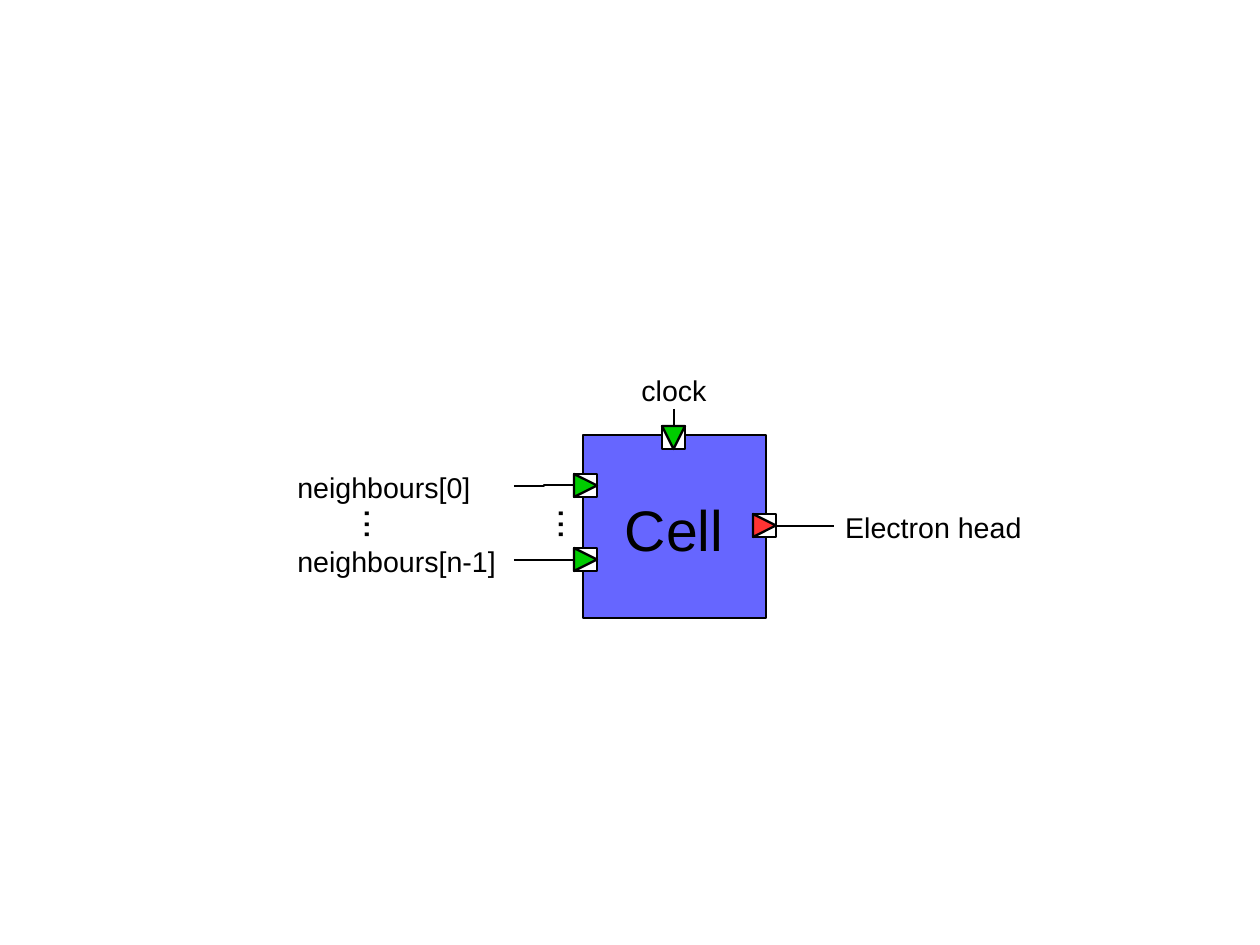
from lxml import etree
from pptx import Presentation
from pptx.dml.color import RGBColor
from pptx.enum.shapes import MSO_CONNECTOR, MSO_SHAPE
from pptx.enum.text import PP_ALIGN
from pptx.oxml.ns import qn
from pptx.util import Pt

PX = 8000
BLACK = RGBColor(0x00, 0x00, 0x00)
WHITE = RGBColor(0xFF, 0xFF, 0xFF)
CELL_BLUE = RGBColor(0x66, 0x66, 0xFF)
INPUT_GREEN = RGBColor(0x00, 0xCC, 0x00)
OUTPUT_RED = RGBColor(0xFF, 0x33, 0x33)
RECTANGLE = MSO_SHAPE.RECTANGLE
TRIANGLE = MSO_SHAPE.ISOSCELES_TRIANGLE
ELBOW = MSO_CONNECTOR.ELBOW
LEFT = PP_ALIGN.LEFT
CENTER = PP_ALIGN.CENTER
PORT_SIZE = 23


class Diagram:
    """Draws the elements of a block diagram in one style."""

    font_name = "Arial"
    line_width = Pt(1.45)

    def __init__(self, slide):
        self.slide = slide

    def outline(self, line):
        line.color.rgb = BLACK
        line.width = self.line_width

    def block(self, kind, box, color, rotation=0, shapes=None):
        shapes = self.slide.shapes if shapes is None else shapes
        shape = shapes.add_shape(kind, *(value * PX for value in box))
        shape.shadow.inherit = False
        shape.rotation = rotation
        shape.fill.solid()
        shape.fill.fore_color.rgb = color
        self.outline(shape.line)

    def port(self, left, top, color, rotation=90):
        group = self.slide.shapes.add_group_shape()
        box = (left, top, PORT_SIZE, PORT_SIZE)
        self.block(RECTANGLE, box, WHITE, shapes=group.shapes)
        self.block(TRIANGLE, box, color, rotation, group.shapes)

    def wire(self, *ends):
        connector = self.slide.shapes.add_connector(ELBOW, *(value * PX for value in ends))
        self.outline(connector.line)
        etree.SubElement(connector._element.spPr, qn("a:effectLst"))

    def label(self, text, box, size=18, alignment=LEFT, rotation=0):
        shape = self.slide.shapes.add_textbox(*(value * PX for value in box))
        shape.rotation = rotation
        shape.text_frame.word_wrap = True
        paragraph = shape.text_frame.paragraphs[0]
        paragraph.alignment = alignment
        run = paragraph.add_run()
        run.text = text
        run.font.name = self.font_name
        run.font.size = Pt(size)
        run.font.color.rgb = BLACK


def main():
    presentation = Presentation()
    presentation.slide_width = 1260 * PX
    presentation.slide_height = 945 * PX
    diagram = Diagram(presentation.slides.add_slide(presentation.slide_layouts[6]))

    diagram.block(RECTANGLE, (583, 435, 183, 183), CELL_BLUE)
    diagram.label("Cell", (577, 489, 194, 75), 36, CENTER)

    diagram.label("clock", (611, 367, 126, 43), alignment=CENTER)
    diagram.wire(674, 409, 674, 426)
    diagram.port(662, 426, INPUT_GREEN, 180)

    for name, top, wire_start, wire_end in (
        ("neighbours[0]", 474, 486, 485),
        ("neighbours[n-1]", 548, 560, 560),
    ):
        diagram.label(name, (286, top - 10, 229, 43))
        diagram.wire(514, wire_start, 574, wire_end)
        diagram.port(574, top, INPUT_GREEN)

    for left in (353, 547):
        diagram.label("...", (left, 499, 57, 54), 24, rotation=90)

    diagram.port(753, 514, OUTPUT_RED)
    diagram.wire(776, 526, 834, 526)
    diagram.label("Electron head", (834, 504, 263, 43))

    presentation.save("out.pptx")


if __name__ == "__main__":
    main()
